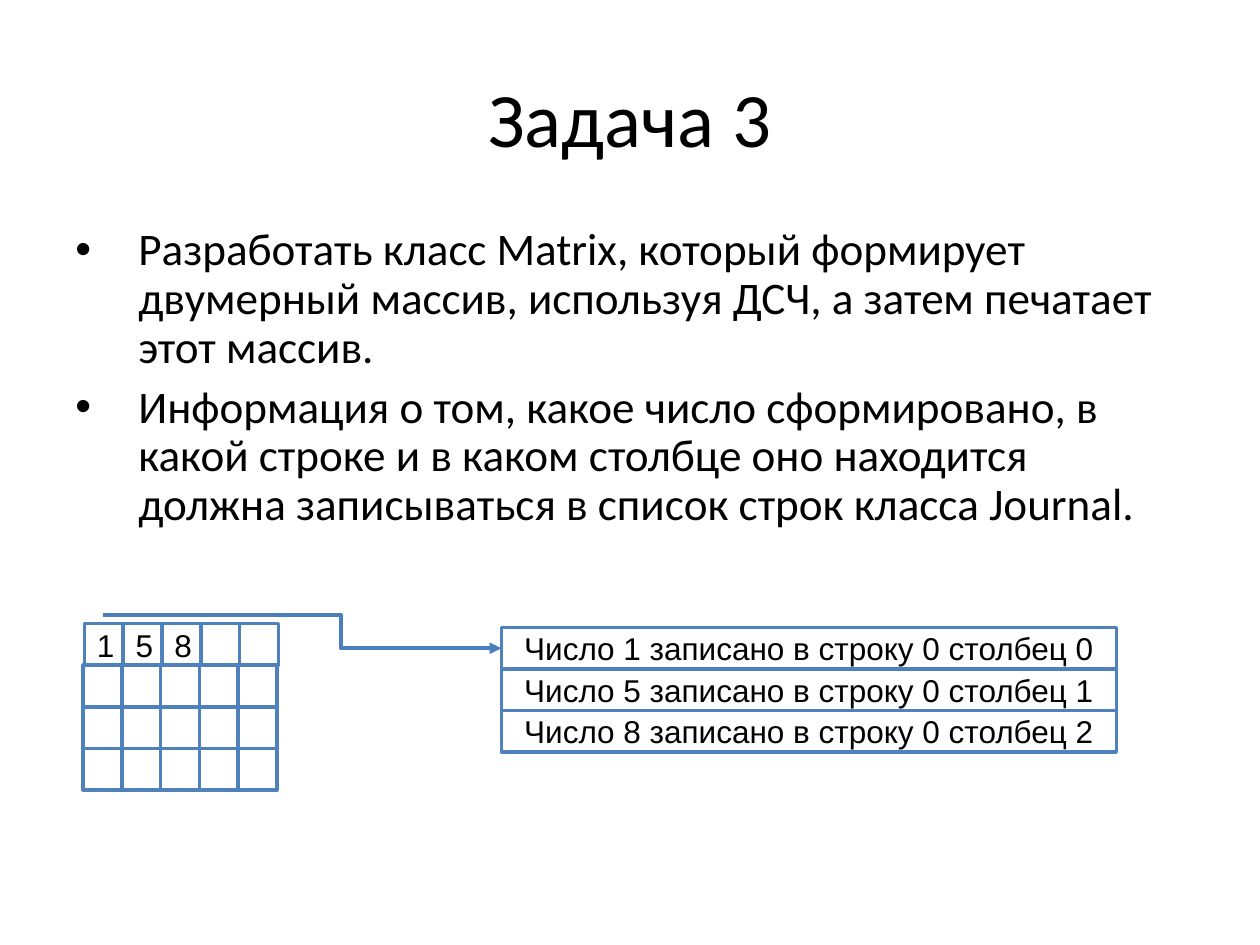
from dataclasses import dataclass

from lxml.etree import SubElement
from pptx import Presentation
from pptx.dml.color import RGBColor
from pptx.enum.shapes import MSO_CONNECTOR, MSO_SHAPE
from pptx.enum.text import MSO_ANCHOR, PP_ALIGN
from pptx.oxml.ns import qn
from pptx.util import Inches, Pt


@dataclass(frozen=True)
class Theme:
    text: RGBColor = RGBColor(0, 0, 0)
    fill: RGBColor = RGBColor(0xFF, 0xFF, 0xFF)
    border: RGBColor = RGBColor(0x4F, 0x81, 0xBD)
    arrow: RGBColor = RGBColor(0x4B, 0x7E, 0xBC)
    heading_font: str = "Calibri"
    cell_font: str = "Arial"
    title_size: float = 44
    body_size: float = 25.8
    cell_size: float = 18
    border_width: float = 2
    arrow_width: float = 2.25


@dataclass(frozen=True)
class Cell:
    left: float
    top: float
    width: float
    height: float
    text: str = ""


THEME = Theme()
BULLETS = [
    "Разработать класс Matrix, который формирует двумерный массив, "
    "используя ДСЧ, а затем печатает этот массив.",
    "Информация о том, какое число сформировано, в какой строке и в каком "
    "столбце оно находится должна записываться в список строк класса Journal.",
]
NUMBERS = ["1", "5", "8"]
ROWS, COLS = 4, 5
ROW_HEIGHT = 0.33
COL_WIDTH = 1.54 / COLS
OPEN_CELL = (1, 1)  # this place in the matrix has no box of its own


def format_font(font, name: str, size: float) -> None:
    font.name = name
    font.size = Pt(size)
    font.color.rgb = THEME.text


def add_title(slide, text: str) -> None:
    sp = slide.shapes.title
    sp.left, sp.top, sp.width, sp.height = map(Inches, (0.5, 0.3, 9, 1.25))
    tf = sp.text_frame
    tf.text = text
    tf.vertical_anchor = MSO_ANCHOR.MIDDLE
    p = tf.paragraphs[0]
    p.alignment = PP_ALIGN.CENTER
    format_font(p.runs[0].font, THEME.heading_font, THEME.title_size)


def add_bullets(slide, items: list[str]) -> None:
    sp = slide.shapes.add_textbox(*map(Inches, (0.5, 1.75, 9, 2.62)))
    tf = sp.text_frame
    tf.word_wrap = True
    tf.text = "\n".join(items)
    for i, p in enumerate(tf.paragraphs):
        p.line_spacing = 0.9
        p.space_before = Pt(6.4 if i else 0)
        pPr = p._p.get_or_add_pPr()
        pPr.set("marL", str(Inches(0.5)))
        pPr.set("indent", str(Inches(-0.5)))
        SubElement(pPr, qn("a:buFont"), typeface="Arial")
        SubElement(pPr, qn("a:buChar"), char="•")
        format_font(p.runs[0].font, THEME.heading_font, THEME.body_size)


def add_cell(slide, cell: Cell):
    box = map(Inches, (cell.left, cell.top, cell.width, cell.height))
    sp = slide.shapes.add_shape(MSO_SHAPE.RECTANGLE, *box)
    sp.shadow.inherit = False
    sp.fill.solid()
    sp.fill.fore_color.rgb = THEME.fill
    sp.line.color.rgb = THEME.border
    sp.line.width = Pt(THEME.border_width)
    if cell.text:
        tf = sp.text_frame
        tf.text = cell.text
        tf.vertical_anchor = MSO_ANCHOR.MIDDLE
        p = tf.paragraphs[0]
        p.alignment = PP_ALIGN.CENTER
        format_font(p.runs[0].font, THEME.cell_font, THEME.cell_size)
    return sp


def matrix_cells() -> list[Cell]:
    cells = []
    for row in range(ROWS):
        left = 0.66 if row else 0.67
        for col in range(COLS):
            if (row, col) == OPEN_CELL:
                continue
            text = NUMBERS[col] if row == 0 and col < len(NUMBERS) else ""
            cells.append(Cell(left + col * COL_WIDTH, 4.95 + row * ROW_HEIGHT,
                              COL_WIDTH, ROW_HEIGHT, text))
    return cells


def journal_cells() -> list[Cell]:
    return [
        Cell(3.98, 4.98 + i * ROW_HEIGHT, 4.88, ROW_HEIGHT,
             f"Число {number} записано в строку 0 столбец {i}")
        for i, number in enumerate(NUMBERS)
    ]


def add_elbow_arrow(slide, target) -> None:
    cx = slide.shapes.add_connector(
        MSO_CONNECTOR.ELBOW, *map(Inches, (0.82, 4.88, 3.98, 5.14)))
    cx.end_connect(target, 1)
    cx.line.color.rgb = THEME.arrow
    cx.line.width = Pt(THEME.arrow_width)
    spPr = cx._element.spPr
    # Place of the bend along the connector
    SubElement(spPr.prstGeom.get_or_add_avLst(), qn("a:gd"),
               name="adj1", fmla="val 59700")
    SubElement(cx.line._get_or_add_ln(), qn("a:tailEnd"), type="triangle")
    SubElement(spPr, qn("a:effectLst"))


def main() -> None:
    prs = Presentation()
    prs.slide_width, prs.slide_height = Inches(10), Inches(7.5)
    slide = prs.slides.add_slide(prs.slide_layouts[5])

    # Task text
    add_title(slide, "Задача 3")
    add_bullets(slide, BULLETS)

    # Matrix and the journal of its numbers
    for cell in matrix_cells():
        add_cell(slide, cell)
    records = [add_cell(slide, cell) for cell in journal_cells()]

    # From the first number to its record
    add_elbow_arrow(slide, records[0])

    prs.save("out.pptx")


if __name__ == "__main__":
    main()
